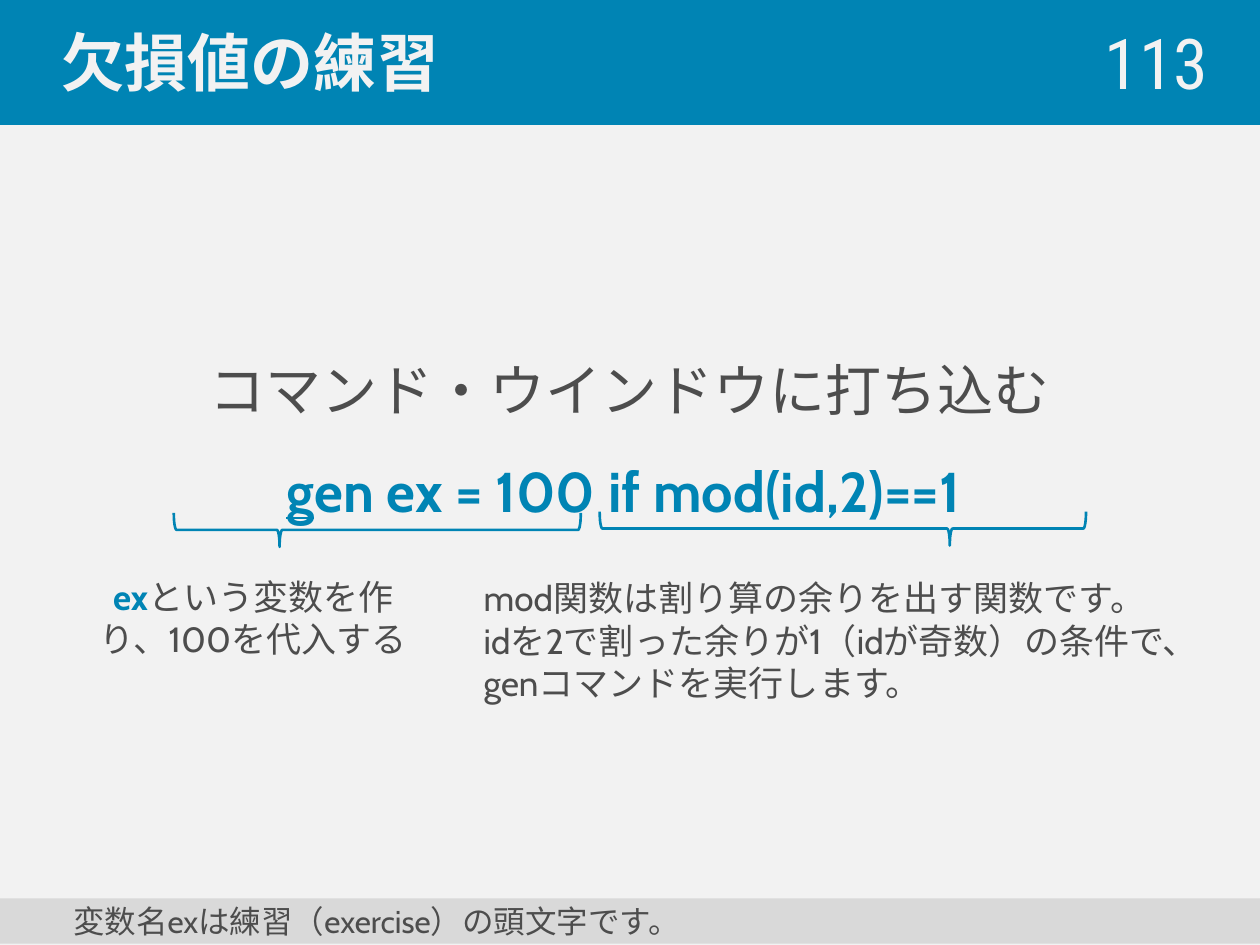
from pptx import Presentation
from pptx.dml.color import RGBColor
from pptx.enum.shapes import MSO_SHAPE
from pptx.enum.text import MSO_ANCHOR, PP_ALIGN
from pptx.util import Inches, Pt

# Grid: 100 columns by 75 rows
W, H = Inches(10), Inches(7.5)
COL, ROW = W / 100, H / 75
BLUE, PALE, GREY, INK = "0084B4", "F2F2F2", "D9D9D9", "4D4D4D"


def rgb(value):
    return RGBColor.from_string(value)


def grid(x, y, w, h):
    return int(x * COL), int(y * ROW), int(w * COL), int(h * ROW)


def style(font, name, size, color, bold=False):
    font.name, font.size, font.bold = name, Pt(size), bold
    font.color.rgb = rgb(color)


def add_band(s, box, fill, text, font, inset):
    """Full-width coloured bar with left-aligned text."""
    sp = s.shapes.add_shape(MSO_SHAPE.RECTANGLE, *grid(*box))
    sp.shadow.inherit = False
    sp.fill.solid()
    sp.fill.fore_color.rgb = rgb(fill)
    sp.line.fill.background()
    tf = sp.text_frame
    tf.margin_left = int(inset * COL)
    tf.vertical_anchor = MSO_ANCHOR.MIDDLE
    p = tf.paragraphs[0]
    p.text, p.alignment = text, PP_ALIGN.LEFT
    style(p.font, *font)
    return sp


def add_text(s, box, align, anchor=MSO_ANCHOR.TOP):
    tf = s.shapes.add_textbox(*grid(*box)).text_frame
    tf.word_wrap = True
    tf.vertical_anchor = anchor
    tf.paragraphs[0].alignment = align
    return tf


def add_brace(s, box, tip):
    """Brace pointing down; tip is its share of the width from the left."""
    x, y, w, h = box
    # The upright frame shares its centre with the turned one
    upright = x + (w - h) / 2, y + (h - w) / 2, h, w
    sp = s.shapes.add_shape(MSO_SHAPE.LEFT_BRACE, *grid(*upright))
    sp.rotation = 270
    sp.adjustments[0], sp.adjustments[1] = 0.08, tip
    sp.shadow.inherit = False
    sp.fill.background()
    sp.line.color.rgb = rgb(BLUE)
    sp.line.width = Pt(1.5)


def add_header(s, box, title, number):
    x, y, w, h = box
    band = add_band(s, box, BLUE, title, ("Lato", 36, PALE, True), 4.9)
    band.line.color.rgb = rgb(BLUE)
    band.line.width = Pt(1.5)
    tf = add_text(s, (x + 0.776 * w, y + 0.19 * h, 0.193 * w, 0.62 * h),
                  PP_ALIGN.RIGHT, MSO_ANCHOR.MIDDLE)
    tf.paragraphs[0].text = number
    style(tf.paragraphs[0].font, "Roboto Condensed", 40, PALE)


def add_command(s, box):
    """Instruction line above the command to be typed."""
    tf = add_text(s, box, PP_ALIGN.CENTER, MSO_ANCHOR.MIDDLE)
    p = tf.paragraphs[0]
    p.text = "コマンド・ウインドウに打ち込む"
    style(p.font, "Cabin", 32, INK)
    command = tf.add_paragraph()
    command.alignment = PP_ALIGN.CENTER
    style(command.font, "Cabin", 32, BLUE, True)
    for text, underline in (("g", True), ("en ex = 100 if mod(id,2)==1 ", False)):
        r = command.add_run()
        r.text, r.font.underline = text, underline
    for p in tf.paragraphs:
        p.line_spacing = 1.5


def add_explanations(s, box):
    """Two braces under the command, each with its note."""
    x, y, w, h = box
    # Assignment part
    add_brace(s, (x + 7.1, y, 32.3, 2.7), 0.26)
    p = add_text(s, (x, y + 4.5, 26.8, h - 4.5), PP_ALIGN.CENTER).paragraphs[0]
    for text, color, bold in (("ex", BLUE, True),
                              ("という変数を作り、100を代入する", INK, False)):
        r = p.add_run()
        r.text = text
        style(r.font, "Cabin", 20, color, bold)
    # Condition part
    add_brace(s, (x + 40.9, y - 0.1, 38.6, 2.7), 0.72)
    note = add_text(s, (x + 30.7, y + 4.6, w - 30.7, h - 4.6), PP_ALIGN.LEFT)
    p = note.paragraphs[0]
    p.text = ("mod関数は割り算の余りを出す関数です。\v"
              "idを2で割った余りが1（idが奇数）の条件で、genコマンドを実行します。")
    style(p.font, "Cabin", 20, INK)


def main():
    prs = Presentation()
    prs.slide_width, prs.slide_height = W, H
    s = prs.slides.add_slide(prs.slide_layouts[6])
    s.background.fill.solid()
    s.background.fill.fore_color.rgb = rgb(PALE)

    add_header(s, (0, 0, 100, 9.8), "欠損値の練習", "113")
    add_command(s, (5, 12.3, 90, 42.5))
    add_band(s, (0, 71.3, 100, 3.6), GREY,
             "変数名exは練習（exercise）の頭文字です。", ("Cabin", 18, INK), 5.8)
    add_explanations(s, (6.7, 40.7, 90.1, 15.7))
    prs.save("out.pptx")


if __name__ == "__main__":
    main()
